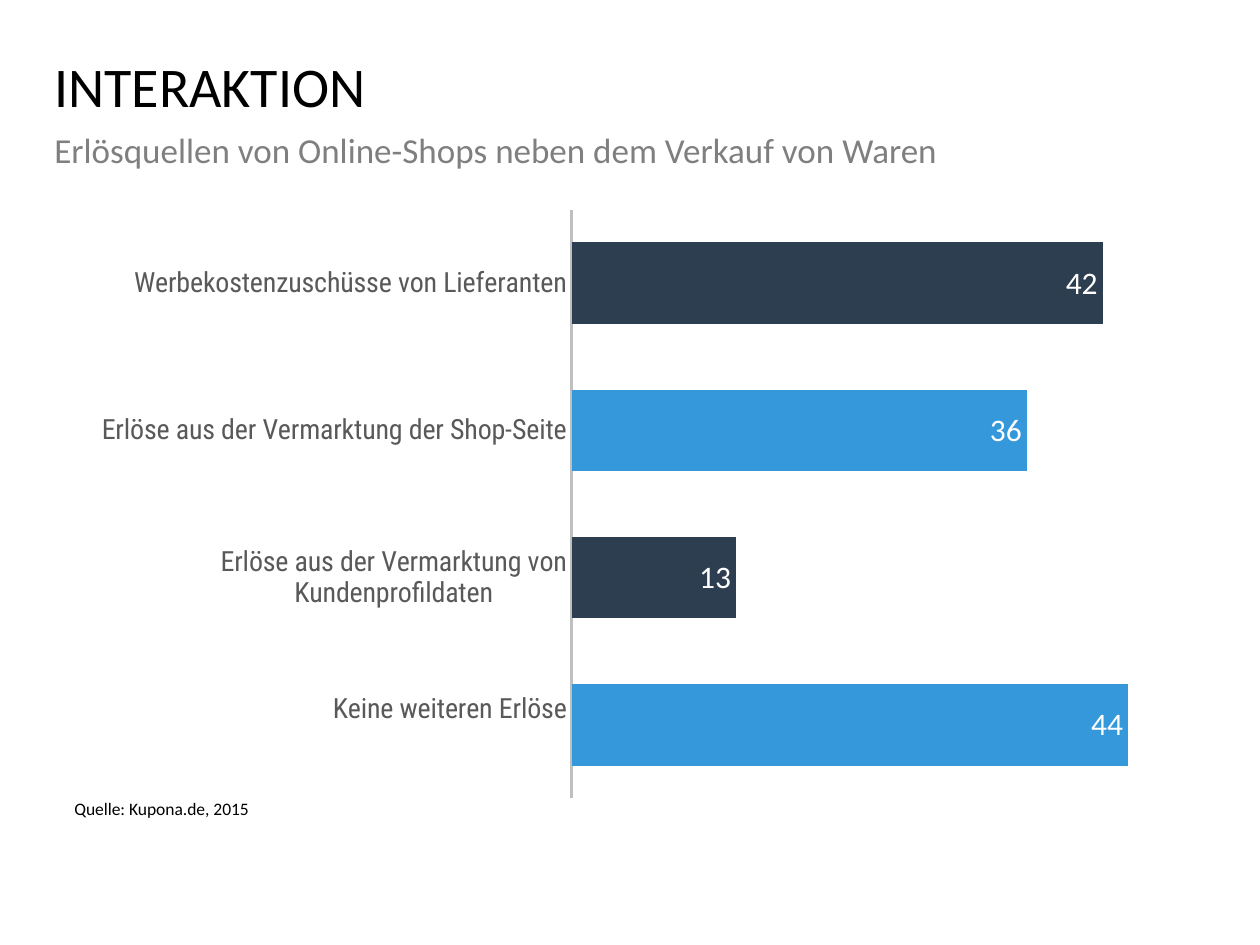
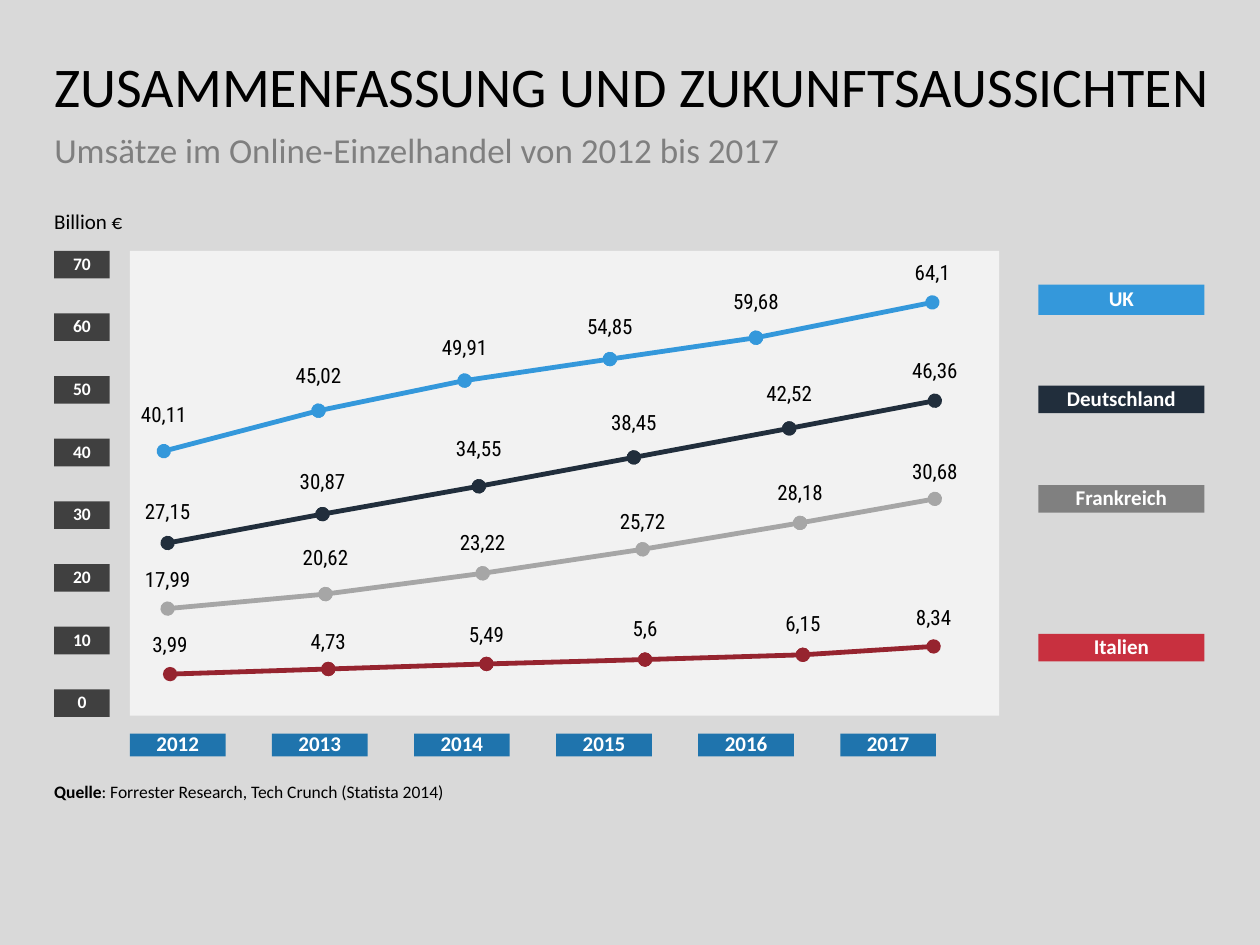
from lxml import etree
from pptx import Presentation
from pptx.chart import data
from pptx.dml import color
from pptx.enum import chart as ce, shapes, text
from pptx.oxml import ns
from pptx.util import Pt


class Theme:
    face, slim = "Calibri", "Roboto Condensed"
    head, sub, value, axis, label, small = 32, 20, 18, 16, 12, 10
    black, white, gray = "000000", "FFFFFF", "7F7F7F"
    page, panel, tick, year = "D9D9D9", "F2F2F2", "404040", "1F74AD"
    blue, dark, navy = "3498DB", "2C3E50", "212E3C"
    base, rule, name = "A6A6A6", "BFBFBF", "595959"
    stone, wine, red, iron = "A6A6A6", "96242F", "C8303F", "808080"


LEFT, WIDE = 31, 657

SHOP = dict(
    title="INTERAKTION",
    sub="Erlösquellen von Online-Shops neben dem Verkauf von Waren",
    page=Theme.white,
)
BARS = [
    ("Keine weiteren Erlöse\n", 44),
    ("Erlöse aus der Vermarktung von Kundenprofildaten", 13),
    ("Erlöse aus der Vermarktung der Shop-Seite", 36),
    ("Werbekostenzuschüsse von Lieferanten", 42),
]
SHOP_NOTE = [("Quelle: Kupona.de, 2015", False)]

TREND = dict(
    title="ZUSAMMENFASSUNG UND ZUKUNFTSAUSSICHTEN",
    sub="Umsätze im Online-Einzelhandel von 2012 bis 2017",
    page=Theme.page,
)
TREND_NOTE = [
    ("Quelle", True),
    (": Forrester Research, Tech Crunch (Statista 2014)", False),
]
UNIT = [("Billion €", False)]
YEARS = range(2012, 2018)
TICKS = range(70, -1, -10)

# name, key fill, line colour, key top, key height, then label, x, y, lift
LANDS = [
    ("UK", Theme.blue, Theme.blue, 162.7, 17.3, [
        ("40,11", 93.6, 257.8, 20), ("45,02", 182, 234.7, 19.5),
        ("49,91", 265.5, 217.5, 18), ("54,85", 348.5, 205.2, 18),
        ("59,68", 432, 193, 20), ("64,1", 532.8, 172.8, 16.5)]),
    ("Deutschland", Theme.navy, Theme.navy, 220.3, 15.8, [
        ("27,15", 95.8, 310.3, 17.3), ("30,87", 184.3, 293.8, 18),
        ("34,55", 273.6, 277.9, 21), ("38,45", 362.2, 261.4, 19.4),
        ("42,52", 451, 244.8, 19.4), ("46,36", 534.2, 229, 16.6)]),
    ("Frankreich", Theme.iron, Theme.stone, 277.2, 15.8, [
        ("17,99", 95.8, 347.8, 16), ("20,62", 186, 339.5, 20),
        ("23,22", 275.8, 327.6, 17), ("25,72", 367.2, 313.9, 15),
        ("28,18", 457.2, 298.8, 16.5), ("30,68", 534.2, 285.1, 15)]),
    ("Italien", Theme.red, Theme.wine, 362.2, 15.8, [
        ("3,99", 97.2, 385.2, 16.5), ("4,73", 187.6, 382.3, 15),
        ("5,49", 278, 379.4, 16), ("5,6", 368.6, 376.9, 17),
        ("6,15", 458.8, 374.2, 17), ("8,34", 533.5, 369.4, 16)]),
]


def rgb(hue):
    return color.RGBColor.from_string(hue)


def pts(*nums):
    return [Pt(num) for num in nums]


def put(obj, **vals):
    for key, val in vals.items():
        setattr(obj, key, val)


def style(font, size, hue, face=Theme.face, bold=False):
    put(font, size=Pt(size), name=face, bold=bold)
    font.color.rgb = rgb(hue)


def paint(fill, hue):
    fill.solid()
    fill.fore_color.rgb = rgb(hue)


def write(frame, runs, size, hue, face=Theme.face, mid=False, after=10):
    pad = Pt(3 if mid else 0)
    put(frame, word_wrap=True, auto_size=text.MSO_AUTO_SIZE.NONE,
        margin_left=pad, margin_right=pad, margin_top=pad, margin_bottom=pad,
        vertical_anchor=text.MSO_ANCHOR.MIDDLE if mid else text.MSO_ANCHOR.TOP)
    para = frame.paragraphs[0]
    put(para, line_spacing=0.9, space_before=Pt(0), space_after=Pt(after),
        alignment=text.PP_ALIGN.CENTER if mid else text.PP_ALIGN.LEFT)
    for words, bold in runs:
        run = para.add_run()
        run.text = words
        style(run.font, size, hue, face, bold)
    return para


def place(shape, left, top, width, height):
    put(shape, left=Pt(left), top=Pt(top), width=Pt(width), height=Pt(height))


def start(deck, title, sub, page):
    slide = deck.slides.add_slide(deck.slide_layouts[1])
    paint(slide.background.fill, page)
    head, body = slide.placeholders
    place(head, LEFT, 34, 662, 85)
    write(head.text_frame, [(title, False)], Theme.head, Theme.black, after=0)
    place(body, LEFT, 76.3, WIDE, 42.5)
    para = write(body.text_frame, [(sub, False)], Theme.sub, Theme.gray)
    props = para._p.get_or_add_pPr()
    props.set("marL", "0")
    props.set("indent", "0")
    etree.SubElement(props, ns.qn("a:buNone"))
    return slide


def note(slide, runs, box, size=Theme.small, **form):
    frame = slide.shapes.add_textbox(*pts(*box)).text_frame
    write(frame, runs, size, Theme.black, **form)


def block(slide, box, hue, words="", size=Theme.label):
    shape = slide.shapes.add_shape(shapes.MSO_SHAPE.RECTANGLE, *pts(*box))
    shape.shadow.inherit = False
    paint(shape.fill, hue)
    shape.line.fill.background()
    if words:
        write(shape.text_frame, [(words, True)], size, Theme.white, mid=True)


def link(slide, ends, hue):
    line = slide.shapes.add_connector(shapes.MSO_CONNECTOR.STRAIGHT, *pts(*ends))
    line.line.width = Pt(2.75)
    line.line.color.rgb = rgb(hue)
    props = line._element.spPr
    for tag in ("a:headEnd", "a:tailEnd"):
        etree.SubElement(props.find(ns.qn("a:ln")), ns.qn(tag), type="oval")
    etree.SubElement(props, ns.qn("a:effectLst"))


def frame_plot(chart, **spots):
    area = chart._chartSpace.chart.plotArea
    for old in area.findall(ns.qn("c:layout")):
        area.remove(old)
    outer = etree.Element(ns.qn("c:layout"))
    inner = etree.SubElement(outer, ns.qn("c:manualLayout"))
    parts = dict(layoutTarget="inner", xMode="edge", yMode="edge", **spots)
    for key, val in parts.items():
        etree.SubElement(inner, ns.qn("c:" + key), val=str(val))
    area.insert(0, outer)


def add_bars(slide):
    feed = data.CategoryChartData()
    feed.categories = [name for name, _ in BARS]
    feed.add_series("Series 1", [num for _, num in BARS])
    chart = slide.shapes.add_chart(
        ce.XL_CHART_TYPE.BAR_STACKED, *pts(LEFT, 118.8, WIDE, 338.4), feed).chart
    put(chart, has_legend=False, has_title=False)
    style(chart.font, Theme.value, Theme.black)
    frame_plot(chart, x=0.45, y=0, w=0.55, h=1)

    put(chart.value_axis, visible=False, has_major_gridlines=False,
        minimum_scale=0, maximum_scale=50)
    axis = chart.category_axis
    put(axis, major_tick_mark=ce.XL_TICK_MARK.NONE,
        minor_tick_mark=ce.XL_TICK_MARK.NONE, has_major_gridlines=False)
    style(axis.tick_labels.font, Theme.axis, Theme.name, Theme.slim)
    axis.format.line.width = Pt(2)
    axis.format.line.color.rgb = rgb(Theme.rule)

    plot = chart.plots[0]
    put(plot, gap_width=80, overlap=100, vary_by_categories=False)
    row = plot.series[0]
    paint(row.format.fill, Theme.base)
    for i in range(len(BARS)):
        paint(row.points[i].format.fill, (Theme.blue, Theme.dark)[i % 2])
    put(row.data_labels, show_value=True,
        position=ce.XL_LABEL_POSITION.INSIDE_END)
    style(row.data_labels.font, Theme.value, Theme.white)


def add_trend(slide):
    block(slide, (74.2, 143.3, 496.8, 265.7), Theme.panel)
    for i, tick in enumerate(TICKS):
        block(slide, (LEFT, 143.3 + 35.8 * i, 31.7, 15.8),
              Theme.tick, str(tick), Theme.small)
    for i, year in enumerate(YEARS):
        block(slide, (74.2 + 81.2 * i, 419.2, 54.7, 13), Theme.year, str(year))
    for name, fill, hue, top, tall, marks in LANDS:
        block(slide, (593.3, top, 95, tall), fill, name)
        for words, x, y, lift in marks:
            note(slide, [(words, False)], (x - 25, y - lift - 8.6, 50, 17.2),
                 Theme.label, face=Theme.slim, mid=True)
        for one, two in zip(marks, marks[1:]):
            link(slide, one[1:3] + two[1:3], hue)


def main():
    deck = Presentation()
    put(deck, slide_width=Pt(720), slide_height=Pt(540))

    shop = start(deck, **SHOP)
    add_bars(shop)
    note(shop, SHOP_NOTE, (42.5, 457.2, 219, 16.6))

    trend = start(deck, **TREND)
    add_trend(trend)
    note(trend, UNIT, (LEFT, 120.5, 61, 15), Theme.label)
    note(trend, TREND_NOTE, (LEFT, 447.8, 238, 10))

    deck.save("out.pptx")


if __name__ == "__main__":
    main()
